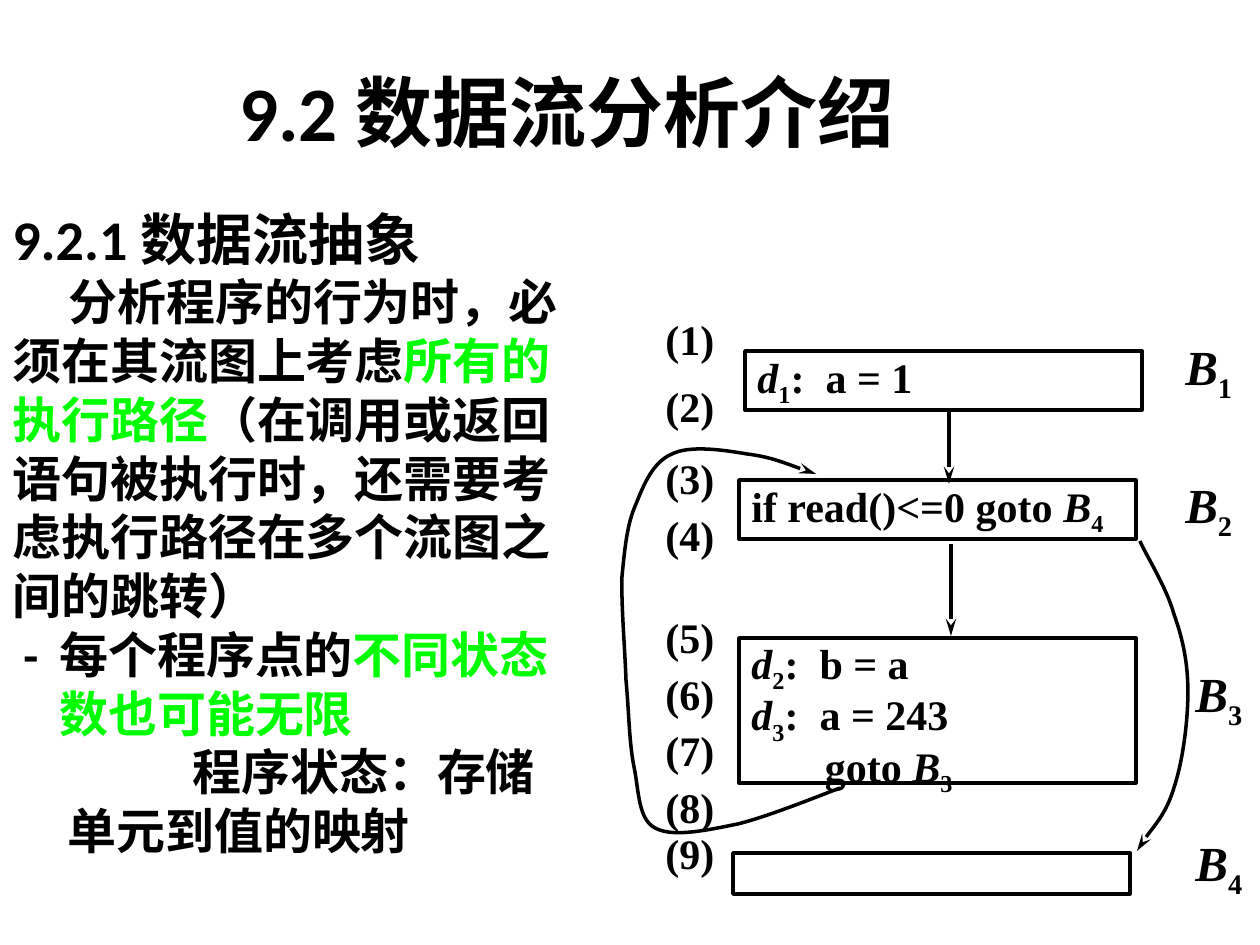
from dataclasses import dataclass

from lxml import etree
from pptx import Presentation
from pptx import util as u
from pptx.dml.color import RGBColor
from pptx.enum import shapes, text
from pptx.oxml.ns import qn


@dataclass(frozen=True)
class Theme:
    """Colours, fonts and type sizes of the slide."""
    ink: RGBColor = RGBColor(0, 0, 0)
    accent: RGBColor = RGBColor(0, 255, 0)
    paper: RGBColor = RGBColor(255, 255, 255)
    latin: str = "Calibri"
    asian: str = "Noto Sans CJK SC"
    code: str = "Times New Roman"
    title: int = 44
    heading: int = 32
    body: int = 28
    small: int = 24
    leading: float = 33.6
    stroke: int = 2


T = Theme()

BODY = [
    ([("9.2.1 数据流抽象", T.ink)], T.heading, 0, 0, 0),
    ([("分析程序的行为时，必", T.ink)], T.body, 56, 0, 0),
    ([("须在其流图上考虑", T.ink), ("所有的", T.accent)], T.body, 0, 0, 0),
    ([("执行路径", T.accent), ("（在调用或返回", T.ink)], T.body, 0, 0, 0),
    ([("语句被执行时，还需要考", T.ink)], T.body, 0, 0, 0),
    ([("虑执行路径在多个流图之", T.ink)], T.body, 0, 0, 0),
    ([("间的跳转）", T.ink)], T.body, 0, 0, 0),
    ([("-\t每个程序点的", T.ink), ("不同状态数也可能无限", T.accent)], T.body, 47, -36, 0),
    ([("程序状态：存储单元到值的映射", T.ink)], T.body, 55, 125, 1),
]
DASH_TAB = 60

BLOCKS = [
    ((125, 40, 397, 59), 0.96, [[("d", "i"), ("1", "s"), (":  a = 1", "")]]),
    ((119, 169, 397, 59), 0.96, [[("if read()<=0 goto ", ""), ("B", "i"), ("4", "s")]]),
    ((119, 327, 397, 145), 0.9, [
        [("d", "i"), ("2", "s"), (":  b = a", "")],
        [("d", "i"), ("3", "s"), (":  a = 243", "")],
        [("       goto ", ""), ("B", "i"), ("3", "s")]]),
    ((113, 542, 397, 41), 1, []),
]
BLOCK_NAMES = [(553, 20), (553, 158), (563, 347), (563, 516)]
LINE_NUMBERS = [(1, [1]), (69, [2]), (140, [3]), (197, [4]), (294, [5, 6, 7, 8]), (516, [9])]
ARROWS = [(329, 100, 173), (331, 233, 325)]
LOOP_BACK = [
    (220, 477), (204, 483), (150, 505), (118, 513), (88, 519), (53, 527), (35, 517),
    (18, 508), (19, 480), (14, 456), (9, 431), (9, 401), (6, 369), (5, 338),
    (1, 294), (2, 265), (5, 236), (7, 213), (16, 193), (24, 173), (33, 151),
    (52, 143), (70, 134), (103, 139), (127, 143), (151, 146), (183, 159), (196, 163)]
EXIT = [
    (520, 230), (525, 242), (547, 277), (554, 303), (563, 328), (568, 352), (568, 381),
    (568, 410), (563, 450), (554, 477), (546, 503), (524, 527), (517, 540)]


def px(n):
    """Turn px into EMU."""
    return u.Emu(round(n * 914400 / 126))


def style(r, size, color=T.ink, font=T.latin):
    """Format a run, with the Asian font beside the Latin one."""
    r.font.size, r.font.bold, r.font.name = u.Pt(size), True, font
    r.font.color.rgb = color
    ea = etree.Element(qn("a:ea"), typeface=T.asian)
    r.font._element.find(qn("a:latin")).addnext(ea)


def add_code(p, parts, size):
    """Add code runs: i is italic, s is subscript."""
    for words, kind in parts:
        r = p.add_run()
        r.text = words
        style(r, size, font=T.code)
        r.font.italic = kind == "i"
        if kind == "s":
            r.font._element.set("baseline", "-25000")


def fill_code(tf, lines, size, spacing=1, inset=0, wrap=False):
    """Fill a text frame with lines of code."""
    tf.word_wrap = wrap
    tf.vertical_anchor = text.MSO_ANCHOR.TOP
    tf.margin_top = tf.margin_bottom = px(inset)
    for i, parts in enumerate(lines):
        p = tf.add_paragraph() if i else tf.paragraphs[0]
        p.alignment, p.line_spacing = text.PP_ALIGN.LEFT, spacing
        add_code(p, parts, size)


def draw_line(sp, arrow=False):
    """Give a shape or connector its stroke and optional arrowhead."""
    sp.line.color.rgb, sp.line.width = T.ink, u.Pt(T.stroke)
    if arrow:
        ln = sp.line._get_or_add_ln()
        etree.SubElement(ln, qn("a:tailEnd"), type="stealth", w="med", len="lg")


def add_curve(s, x, y, points):
    """Draw a chain of cubic curves that ends in an arrowhead."""
    hull = [(px(x + a), px(y + b)) for a, b in points]
    builder = s.shapes.build_freeform(*hull[0], scale=1.0)
    builder.add_line_segments(hull[1:], close=False)
    sp = builder.convert_to_shape()
    path = next(sp._element.iter(qn("a:path")))
    legs = path.findall(qn("a:lnTo"))
    for i in range(0, len(legs), 3):
        curve = etree.SubElement(path, qn("a:cubicBezTo"))
        for leg in legs[i:i + 3]:
            curve.append(leg[0])
            path.remove(leg)
    sp.shadow.inherit = False
    sp.fill.background()
    draw_line(sp, arrow=True)


def add_title(s, x, y, w, h):
    """Place and format the title."""
    sp = s.shapes.title
    sp.left, sp.top, sp.width, sp.height = map(px, (x, y, w, h))
    tf = sp.text_frame
    tf.text = "9.2 数据流分析介绍"
    tf.vertical_anchor = text.MSO_ANCHOR.MIDDLE
    p = tf.paragraphs[0]
    p.alignment = text.PP_ALIGN.CENTER
    style(p.runs[0], T.title)


def add_body(s, x, y, w, h):
    """Write the explanatory text."""
    tf = s.shapes.add_textbox(*map(px, (x, y, w, h))).text_frame
    tf.word_wrap = True
    tf.margin_top = px(15)
    for i, (parts, size, margin, indent, level) in enumerate(BODY):
        p = tf.add_paragraph() if i else tf.paragraphs[0]
        p.level, p.line_spacing = level, u.Pt(T.leading)
        pPr = p._p.get_or_add_pPr()
        pPr.set("marL", str(px(margin)))
        pPr.set("indent", str(px(indent)))
        if indent < 0:
            tabs = etree.SubElement(pPr, qn("a:tabLst"))
            etree.SubElement(tabs, qn("a:tab"), pos=str(px(DASH_TAB)), algn="l")
        for words, color in parts:
            r = p.add_run()
            r.text = words
            style(r, size, color)


def add_flow_graph(s, x, y):
    """Draw the basic blocks, their names, line numbers and edges."""
    for (left, top, w, h), spacing, lines in BLOCKS:
        sp = s.shapes.add_shape(shapes.MSO_SHAPE.RECTANGLE,
                                *map(px, (x + left, y + top, w, h)))
        sp.shadow.inherit = False
        sp.fill.background()
        draw_line(sp)
        fill_code(sp.text_frame, lines, T.small, spacing, wrap=True)
    for n, (left, top) in enumerate(BLOCK_NAMES, 1):
        sp = s.shapes.add_textbox(*map(px, (x + left, y + top, 76, 76)))
        fill_code(sp.text_frame, [[("B", "i"), (str(n), "s")]], T.body, inset=6)
    for top, numbers in LINE_NUMBERS:
        sp = s.shapes.add_textbox(*map(px, (x + 33, y + top, 106, 57 * len(numbers))))
        lines = [[(f"({n})", "")] for n in numbers]
        fill_code(sp.text_frame, lines, T.small, 1.12 if len(numbers) > 1 else 1, inset=1)
    for left, top, bottom in ARROWS:
        c = s.shapes.add_connector(shapes.MSO_CONNECTOR.STRAIGHT,
                                   *map(px, (x + left, y + top, x + left, y + bottom)))
        draw_line(c, arrow=True)
        etree.SubElement(c._element.spPr, qn("a:effectLst"))
    for points in (LOOP_BACK, EXIT):
        add_curve(s, x, y, points)


def main():
    """Build the slide and save it."""
    prs = Presentation()
    prs.slide_width, prs.slide_height = px(1260), px(945)
    s = prs.slides.add_slide(prs.slide_layouts[5])
    s.background.fill.solid()
    s.background.fill.fore_color.rgb = T.paper
    add_title(s, 0, 32, 1134, 158)
    add_body(s, 0, 198, 585, 733)
    add_flow_graph(s, 620, 311)
    prs.save("out.pptx")


if __name__ == "__main__":
    main()
